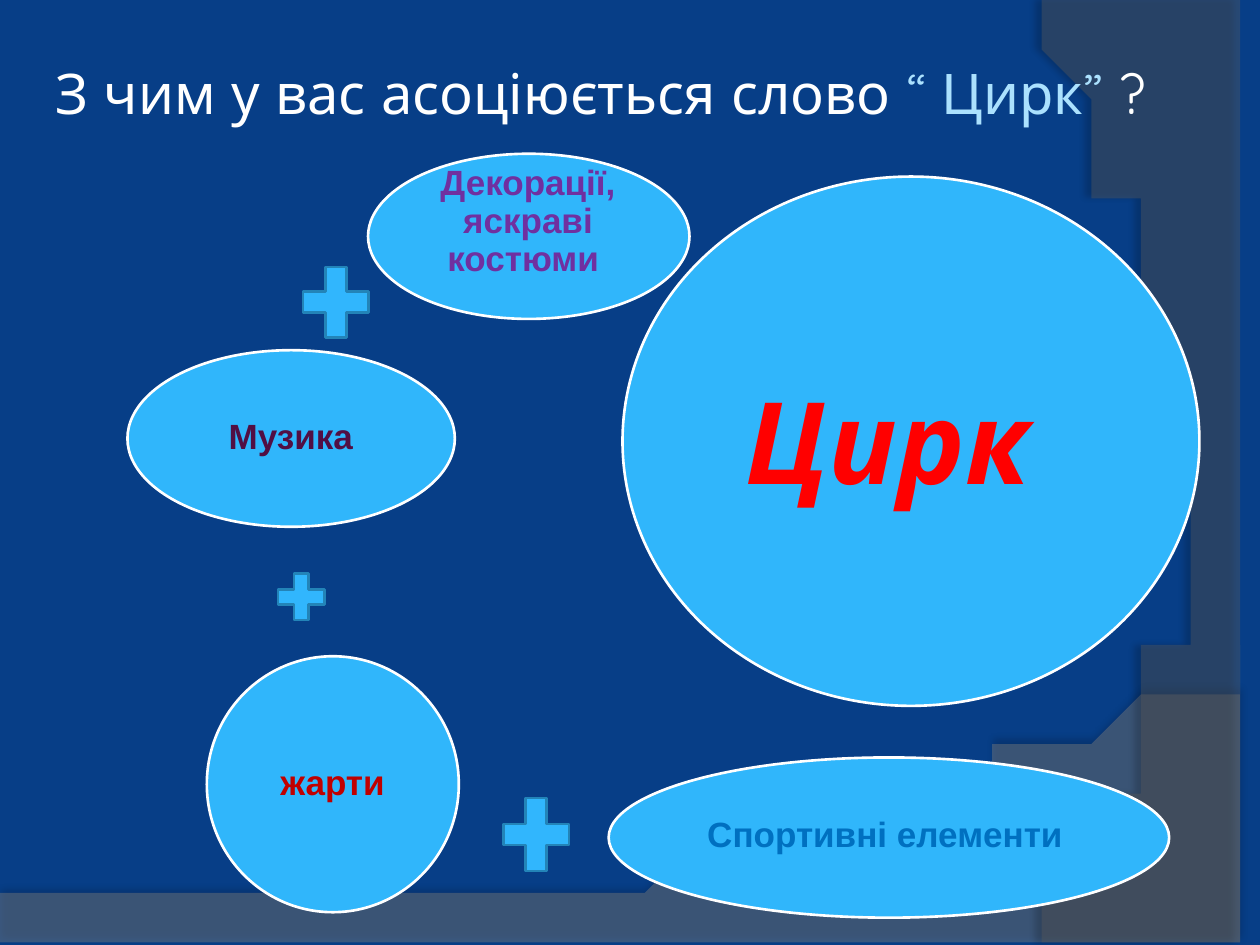
from lxml import etree
from pptx import Presentation
from pptx.dml.color import RGBColor
from pptx.enum.shapes import MSO_SHAPE
from pptx.enum.text import MSO_ANCHOR, MSO_AUTO_SIZE, PP_ALIGN
from pptx.oxml.ns import qn
from pptx.util import Cm, Pt

OVAL, PLUS = MSO_SHAPE.OVAL, MSO_SHAPE.MATH_PLUS
MIDDLE, NO_FIT = MSO_ANCHOR.MIDDLE, MSO_AUTO_SIZE.NONE
LEFT, CENTER = PP_ALIGN.LEFT, PP_ALIGN.CENTER

HEX = {
    "back": "073E87", "wave": "7B7B7B", "side": "5A5A5A", "white": "FFFFFF",
    "pale": "ABE1FE", "oval": "30B6FB", "plus": "31B6FD", "edge": "2384B8",
    "violet": "7030A0", "plum": "510F43", "brick": "C00000",
    "blue": "0070C0", "red": "FF0000", "black": "000000",
}
HEAD, BODY = "Quicksand", "Arial"

# Content: boxes are left, top, width, height in cm
TITLE = [("З чим у вас асоціюється слово ", "white"), ("“ Цирк” ", "pale"), ("?", "white")]
TITLE_BOX = (0.99, 0.56, 23.9, 2.59)

SMALL = {"size": 20, "font": BODY, "pad": 0.08}
BIG = {"size": 65, "font": HEAD, "pad": 0.23, "italic": True}
BUBBLES = [  # words, colour, oval, text box, style
    ("Декорації, яскраві костюми ", "violet", (7.42, 3.1, 6.48, 3.33), (8.36, 3.3, 4.57, 2.36), SMALL),
    ("Музика", "plum", (2.57, 7.06, 6.6, 3.56), (3.53, 7.57, 4.67, 2.51), SMALL),
    ("жарти", "brick", (4.17, 13.23, 5.08, 5.16), (4.9, 14, 3.61, 3.63), SMALL),
    ("Спортивні елементи ", "blue", (12.27, 15.27, 11.3, 3.23), (13.94, 15.72, 8, 2.29), SMALL),
    ("Цирк", "red", (12.55, 3.56, 11.63, 10.67), (13.79, 5.26, 8.23, 7.54), BIG),
]
PLUSES = [(5.44, 11.4, 1.27, 1.27), (9.91, 15.82, 1.8, 2.01), (5.87, 5.13, 1.8, 1.93)]

# Backdrop: straight corners, then a curve from the last corner
SWEEPS = [
    {"fill": "wave", "alpha": 45, "shade": 35, "dist": 3.5, "angle": 270,
     "corners": [(0, 17.91), (0, 19.05), (25.4, 19.05), (25.4, 13.21)],
     "curve": [(14.2, 18.52), (9.93, 18.26), (0, 17.91)]},
    {"fill": "side", "alpha": 40, "shade": 45, "dist": 4, "angle": 180,
     "corners": [(25.4, 0.05), (25.4, 19.05), (20.85, 19.05)],
     "curve": [(23.75, 15.72), (25.86, 7.62), (20.32, 0)]},
]
STEPS = 48


def rgb(name):
    return RGBColor.from_string(HEX[name])


def lengths(box):
    return [Cm(n) for n in box]


def bezier(a, b, c, d):
    for i in range(1, STEPS + 1):
        t = i / STEPS
        u = 1 - t
        yield tuple(u**3 * p + 3 * u * u * t * q + 3 * u * t * t * r + t**3 * s
                    for p, q, r, s in zip(a, b, c, d))


def add_alpha(node, share):
    etree.SubElement(node, qn("a:alpha"), val=str(share * 1000))


def add_sweep(slide, sweep):
    pts = sweep["corners"] + list(bezier(sweep["corners"][-1], *sweep["curve"]))
    form = slide.shapes.build_freeform(*pts[0], scale=Cm(1))
    form.add_line_segments(pts[1:], close=True)
    shape = form.convert_to_shape()
    shape.fill.solid()
    shape.fill.fore_color.rgb = rgb(sweep["fill"])
    shape.line.fill.background()
    shape.shadow.inherit = False
    props = shape.element.spPr
    add_alpha(props.find(qn("a:solidFill"))[0], sweep["alpha"])
    # Soft outer shadow
    cast = etree.SubElement(
        props.find(qn("a:effectLst")), qn("a:outerShdw"), blurRad=str(Pt(4)),
        dist=str(Pt(sweep["dist"])), dir=str(sweep["angle"] * 60000), rotWithShape="0")
    add_alpha(etree.SubElement(cast, qn("a:srgbClr"), val=HEX["black"]), sweep["shade"])


def add_solid(slide, kind, box, fill, edge):
    shape = slide.shapes.add_shape(kind, *lengths(box))
    shape.shadow.inherit = False
    shape.fill.solid()
    shape.fill.fore_color.rgb = rgb(fill)
    shape.line.color.rgb = rgb(edge)
    shape.line.width = Pt(1.5)
    return shape


def set_frame(frame, pad, align):
    frame.word_wrap = True
    frame.auto_size = NO_FIT
    frame.vertical_anchor = MIDDLE
    frame.margin_left = frame.margin_right = Cm(pad)
    frame.margin_top = frame.margin_bottom = Cm(pad)
    para = frame.paragraphs[0]
    para.alignment = align
    return para


def add_run(para, text, color, size, font, bold=False, italic=False):
    run = para.add_run()
    run.text = text
    run.font.name, run.font.size = font, Pt(size)
    run.font.bold, run.font.italic = bold, italic
    run.font.color.rgb = rgb(color)


def main():
    deck = Presentation()
    deck.slide_width, deck.slide_height = Cm(25.4), Cm(19.05)
    slide = deck.slides.add_slide(deck.slide_layouts[5])
    slide.background.fill.solid()
    slide.background.fill.fore_color.rgb = rgb("back")

    for sweep in SWEEPS:
        add_sweep(slide, sweep)

    # Title, raised above the backdrop
    title = slide.shapes.title
    slide.shapes.element.append(title.element)
    title.left, title.top, title.width, title.height = lengths(TITLE_BOX)
    para = set_frame(title.text_frame, 0.13, LEFT)
    for text, color in TITLE:
        add_run(para, text, color, 32, HEAD)

    # Bubbles with their words
    for text, color, oval, box, style in BUBBLES:
        add_solid(slide, OVAL, oval, "oval", "white")
        label = slide.shapes.add_textbox(*lengths(box))
        para = set_frame(label.text_frame, style["pad"], CENTER)
        para.line_spacing = 0.9
        add_run(para, text, color, style["size"], style["font"], True, style.get("italic", False))

    # Plus signs
    for box in PLUSES:
        add_solid(slide, PLUS, box, "plus", "edge").adjustments[0] = 0.235

    deck.save("out.pptx")


if __name__ == "__main__":
    main()
